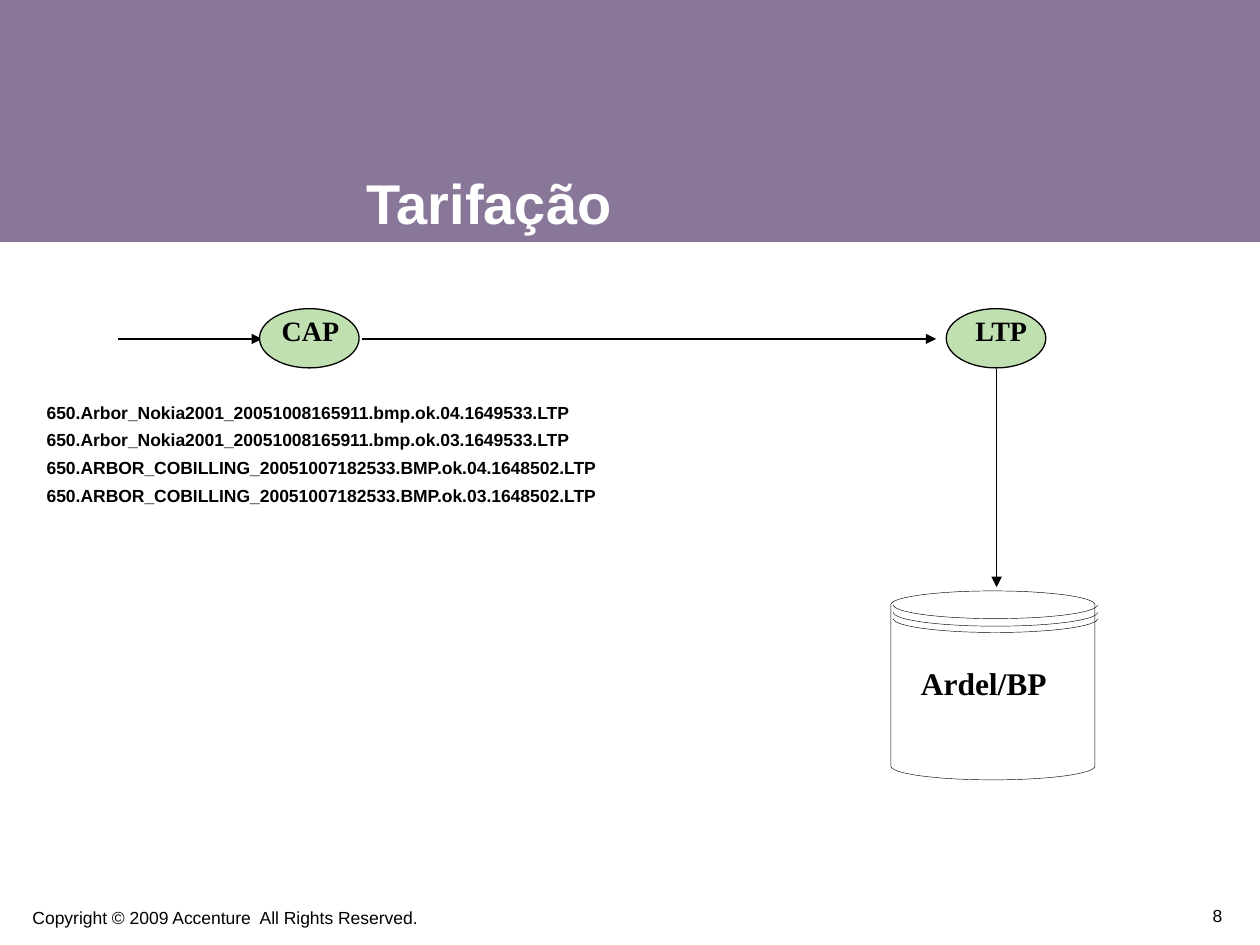
import math
import pptx
import pptx.util
import pptx.dml.color
import pptx.enum.shapes
import pptx.enum.text
import pptx.oxml
import pptx.oxml.ns

Inches = pptx.util.Inches
Pt = pptx.util.Pt
Align = pptx.enum.text.PP_ALIGN
Anchor = pptx.enum.text.MSO_ANCHOR
Shape = pptx.enum.shapes.MSO_SHAPE

THEME = {
    "band": "887799", "node": "C1E0B1", "ink": "000000", "paper": "FFFFFF",
    "sans": "Arial", "serif": "Times New Roman",
    "title": 32, "store": 18, "label": 16, "small": 10,
    "line": 0.75, "thin": 0.25, "lead": 0.8, "gap": 6.2,
}

TITLE = "Tarifação"
FILES = [
    "650.Arbor_Nokia2001_20051008165911.bmp.ok.04.1649533.LTP",
    "650.Arbor_Nokia2001_20051008165911.bmp.ok.03.1649533.LTP",
    "650.ARBOR_COBILLING_20051007182533.BMP.ok.04.1648502.LTP",
    "650.ARBOR_COBILLING_20051007182533.BMP.ok.03.1648502.LTP",
]
NODES = [
    ("CAP", 2.06, (1.92, 2.49, 0.87, 0.32)),
    ("LTP", 7.51, (7.38, 2.49, 0.87, 0.32)),
]
NODE_TOP, NODE_W, NODE_H = 2.45, 0.79, 0.47
ARROWS = [
    (0.94, 2.69, 2.08, 2.69),
    (2.87, 2.69, 7.43, 2.69),
    (7.91, 2.93, 7.91, 4.66),
]
STORE = ("Ardel/BP", (7.21, 5.28, 1.42, 0.34))
DRUM = {"x": 7.88, "top": 4.8, "base": 6.08, "rx": 0.81, "ry": 0.11}
RINGS = (4.8, 4.86, 4.91)
RING_X = 7.9
STEPS = 36
RIGHTS = "Copyright © 2009 Accenture  All Rights Reserved."
PAGE = "8"


def tint(name):
    return pptx.dml.color.RGBColor.from_string(THEME[name])


def place(shape, box):
    shape.left, shape.top, shape.width, shape.height = map(Inches, box)


def style(frame, size, face="sans", ink="ink", bold=True, align=Align.LEFT,
          lead=THEME["lead"], gap=0, anchor=Anchor.TOP, wrap=True):
    frame.word_wrap = wrap
    frame.auto_size = pptx.enum.text.MSO_AUTO_SIZE.NONE
    frame.vertical_anchor = anchor
    for i, para in enumerate(frame.paragraphs):
        para.alignment = align
        para.line_spacing = lead
        para.space_before = Pt(gap if i else 0)
        for run in para.runs:
            font = run.font
            font.name, font.size, font.bold = THEME[face], Pt(THEME[size]), bold
            font.color.rgb = tint(ink)


def add_text(slide, text, box, size, **look):
    shape = slide.shapes.add_textbox(*map(Inches, box))
    shape.text_frame.text = text
    style(shape.text_frame, size, **look)


def paint(shape, fill, line):
    shape.shadow.inherit = False
    if fill:
        shape.fill.solid()
        shape.fill.fore_color.rgb = tint(fill)
    else:
        shape.fill.background()
    if line:
        shape.line.color.rgb = tint("ink")
        shape.line.width = Pt(THEME[line])
    else:
        shape.line.fill.background()


def add_arrow(slide, ends):
    line = slide.shapes.add_connector(
        pptx.enum.shapes.MSO_CONNECTOR.STRAIGHT, *map(Inches, ends))
    line.line.color.rgb = tint("ink")
    line.line.width = Pt(THEME["line"])
    tail = pptx.oxml.parse_xml(
        f'<a:tailEnd {pptx.oxml.ns.nsdecls("a")} type="triangle"/>')
    line.line._get_or_add_ln().append(tail)
    line._element.spPr.append(pptx.oxml.parse_xml(
        f'<a:effectLst {pptx.oxml.ns.nsdecls("a")}/>'))


def arc(x, y, start, end):
    turns = [math.radians(start + (end - start) * i / STEPS)
             for i in range(STEPS + 1)]
    return [(Inches(x + DRUM["rx"] * math.cos(t)),
             Inches(y + DRUM["ry"] * math.sin(t))) for t in turns]


def add_drum(slide):
    points = (arc(DRUM["x"], DRUM["base"], 180, 0)
              + arc(DRUM["x"], DRUM["top"], 0, -180))
    body = slide.shapes.build_freeform(*points[0])
    body.add_line_segments(points[1:], close=True)
    paint(body.convert_to_shape(), "paper", "thin")

    curves = [arc(RING_X, y, 180, 0) for y in RINGS]
    rings = slide.shapes.build_freeform(*curves[0][0])
    for i, curve in enumerate(curves):
        if i:
            rings.move_to(*curve[0])
        rings.add_line_segments(curve[1:], close=False)
    paint(rings.convert_to_shape(), None, "thin")


def main():
    deck = pptx.Presentation()
    deck.slide_width, deck.slide_height = Inches(10), Inches(7.5)
    slide = deck.slides.add_slide(deck.slide_layouts[1])
    title, body = slide.shapes.title, slide.placeholders[1]

    band = slide.shapes.add_shape(Shape.RECTANGLE, 0, 0, Inches(10), Inches(1.92))
    paint(band, "band", None)
    title._element.addprevious(band._element)

    place(title, (2.81, 0.67, 4.88, 1.25))
    title.text_frame.text = TITLE
    style(title.text_frame, "title", ink="paper", lead=1, anchor=Anchor.BOTTOM)

    place(body, (0.27, 3.17, 5.91, 0.9))
    body.text_frame.text = "\n".join(FILES)
    for para in body.text_frame.paragraphs:
        props = para._p.get_or_add_pPr()
        props.set("marL", "0")
        props.set("indent", "0")
        props.append(pptx.oxml.parse_xml(
            f'<a:buNone {pptx.oxml.ns.nsdecls("a")}/>'))
    style(body.text_frame, "small", gap=THEME["gap"])

    for ends in ARROWS:
        add_arrow(slide, ends)
    for name, left, box in NODES:
        node = slide.shapes.add_shape(
            Shape.OVAL, *map(Inches, (left, NODE_TOP, NODE_W, NODE_H)))
        paint(node, "node", "line")
        add_text(slide, name, box, "label", face="serif", align=Align.RIGHT)

    add_drum(slide)
    add_text(slide, *STORE, "store", face="serif")
    add_text(slide, RIGHTS, (0.16, 7.18, 3.27, 0.24), "small",
             bold=False, wrap=False)
    add_text(slide, PAGE, (7.95, 7.11, 1.85, 0.29), "small", bold=False,
             align=Align.RIGHT, anchor=Anchor.BOTTOM)
    deck.save("out.pptx")


if __name__ == "__main__":
    main()
